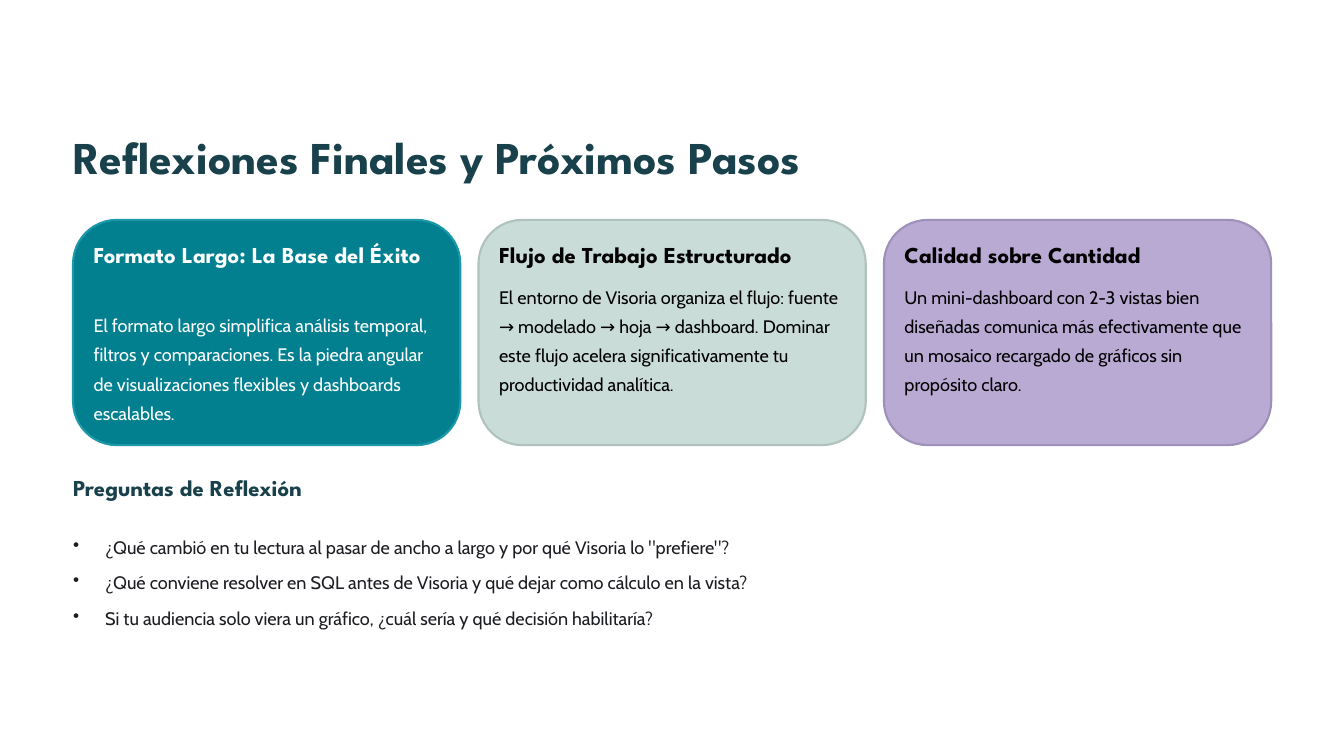
from dataclasses import dataclass

import pptx
import pptx.dml.color
import pptx.enum.shapes
import pptx.enum.text
import pptx.oxml
import pptx.oxml.ns
import pptx.text.text
import pptx.util
from pptx.util import Cm


@dataclass(frozen=True)
class TextStyle:
    font: str
    size: float
    leading: float
    bold: bool = False


@dataclass(frozen=True)
class Theme:
    title: TextStyle = TextStyle("League Spartan", 39, 48.5, True)
    heading: TextStyle = TextStyle("League Spartan", 19.5, 24, True)
    body: TextStyle = TextStyle("Cabin", 15.5, 25)
    petrol: str = "19414B"
    ink: str = "1C1D22"
    black: str = "000000"
    white: str = "FFFFFF"


@dataclass(frozen=True)
class Card:
    heading: str
    body: str
    fill: str
    border: str
    color: str
    heading_lines: int = 1


THEME = Theme()
MARGIN = 2.21
CONTENT_WIDTH = 36.22
CARD_TOP, CARD_WIDTH, CARD_HEIGHT, CARD_PITCH = 6.65, 11.71, 6.81, 12.26
CARD_INSET, CARD_TEXT_WIDTH = 0.62, 10.49
HEADING_HEIGHT, HEADING_GAP, BODY_HEIGHT = 0.86, 0.3, 3.53

CARDS = [
    Card("Formato Largo: La Base del Éxito",
         "El formato largo simplifica análisis temporal, filtros y comparaciones. "
         "Es la piedra angular de visualizaciones flexibles y dashboards escalables.",
         "028090", "1B99A9", THEME.white, heading_lines=2),
    Card("Flujo de Trabajo Estructurado",
         "El entorno de Visoria organiza el flujo: fuente → modelado → hoja → dashboard. "
         "Dominar este flujo acelera significativamente tu productividad analítica.",
         "CADCD8", "B0C2BE", THEME.black),
    Card("Calidad sobre Cantidad",
         "Un mini-dashboard con 2-3 vistas bien diseñadas comunica más efectivamente "
         "que un mosaico recargado de gráficos sin propósito claro.",
         "B9AAD4", "9F90BA", THEME.black),
]
QUESTIONS = [
    '¿Qué cambió en tu lectura al pasar de ancho a largo y por qué Visoria lo "prefiere"?',
    "¿Qué conviene resolver en SQL antes de Visoria y qué dejar como cálculo en la vista?",
    "Si tu audiencia solo viera un gráfico, ¿cuál sería y qué decisión habilitaría?",
]


def rgb(color: str) -> pptx.dml.color.RGBColor:
    return pptx.dml.color.RGBColor.from_string(color)


def add_bullet(para: pptx.text.text._Paragraph) -> None:
    properties = para._p.get_or_add_pPr()
    properties.set("marL", str(Cm(0.97)))
    properties.set("indent", str(-Cm(0.97)))
    bullet = pptx.oxml.parse_xml(f'<a:buChar {pptx.oxml.ns.nsdecls("a")} char="•"/>')
    properties.append(bullet)


def fill_text(frame: pptx.text.text.TextFrame, lines: list[str], style: TextStyle,
              color: str, bulleted: bool = False, gap: float = 0) -> None:
    """Write one paragraph per line, with gap points between paragraphs."""
    frame.word_wrap = True
    frame.auto_size = pptx.enum.text.MSO_AUTO_SIZE.NONE
    frame.vertical_anchor = pptx.enum.text.MSO_ANCHOR.TOP
    frame.margin_left = frame.margin_right = frame.margin_top = frame.margin_bottom = 0
    for index, line in enumerate(lines):
        para = frame.add_paragraph() if index else frame.paragraphs[0]
        para.text = line
        if bulleted:
            add_bullet(para)
        para.alignment = pptx.enum.text.PP_ALIGN.LEFT
        para.line_spacing = pptx.util.Pt(style.leading)
        if index and gap:
            para.space_before = pptx.util.Pt(gap)
        para.font.name = style.font
        para.font.size = pptx.util.Pt(style.size)
        para.font.bold = style.bold
        para.font.color.rgb = rgb(color)


def add_text(page: pptx.slide.Slide, left: float, top: float, width: float, height: float,
             lines: list[str], style: TextStyle, color: str,
             bulleted: bool = False, gap: float = 0) -> None:
    box = page.shapes.add_textbox(Cm(left), Cm(top), Cm(width), Cm(height))
    fill_text(box.text_frame, lines, style, color, bulleted, gap)


def add_title(page: pptx.slide.Slide, text: str) -> None:
    title = page.shapes.title
    title.left, title.top = Cm(MARGIN), Cm(3.84)
    title.width, title.height = Cm(24.51), Cm(1.73)
    fill_text(title.text_frame, [text], THEME.title, THEME.petrol)


def add_card(page: pptx.slide.Slide, card: Card, left: float) -> None:
    panel = page.shapes.add_shape(
        pptx.enum.shapes.MSO_SHAPE.ROUNDED_RECTANGLE,
        Cm(left), Cm(CARD_TOP), Cm(CARD_WIDTH), Cm(CARD_HEIGHT))
    panel.adjustments[0] = 0.194
    panel.shadow.inherit = False
    panel.fill.solid()
    panel.fill.fore_color.rgb = rgb(card.fill)
    panel.line.color.rgb = rgb(card.border)
    panel.line.width = pptx.util.Pt(1.8)

    text_left, heading_top = left + CARD_INSET, CARD_TOP + CARD_INSET
    heading_height = card.heading_lines * HEADING_HEIGHT
    add_text(page, text_left, heading_top, CARD_TEXT_WIDTH, heading_height,
             [card.heading], THEME.heading, card.color)
    add_text(page, text_left, heading_top + heading_height + HEADING_GAP,
             CARD_TEXT_WIDTH, BODY_HEIGHT, [card.body], THEME.body, card.color)


def main() -> None:
    deck = pptx.Presentation()
    deck.slide_width, deck.slide_height = Cm(40.64), Cm(22.86)
    page = deck.slides.add_slide(deck.slide_layouts.get_by_name("Title Only"))
    add_title(page, "Reflexiones Finales y Próximos Pasos")
    for column, card in enumerate(CARDS):
        add_card(page, card, MARGIN + column * CARD_PITCH)
    add_text(page, MARGIN, 14.3, 7.62, HEADING_HEIGHT,
             ["Preguntas de Reflexión"], THEME.heading, THEME.petrol)
    add_text(page, MARGIN, 16, CONTENT_WIDTH, 3.02, QUESTIONS,
             THEME.body, THEME.ink, bulleted=True, gap=5.25)
    deck.save("out.pptx")


if __name__ == "__main__":
    main()
